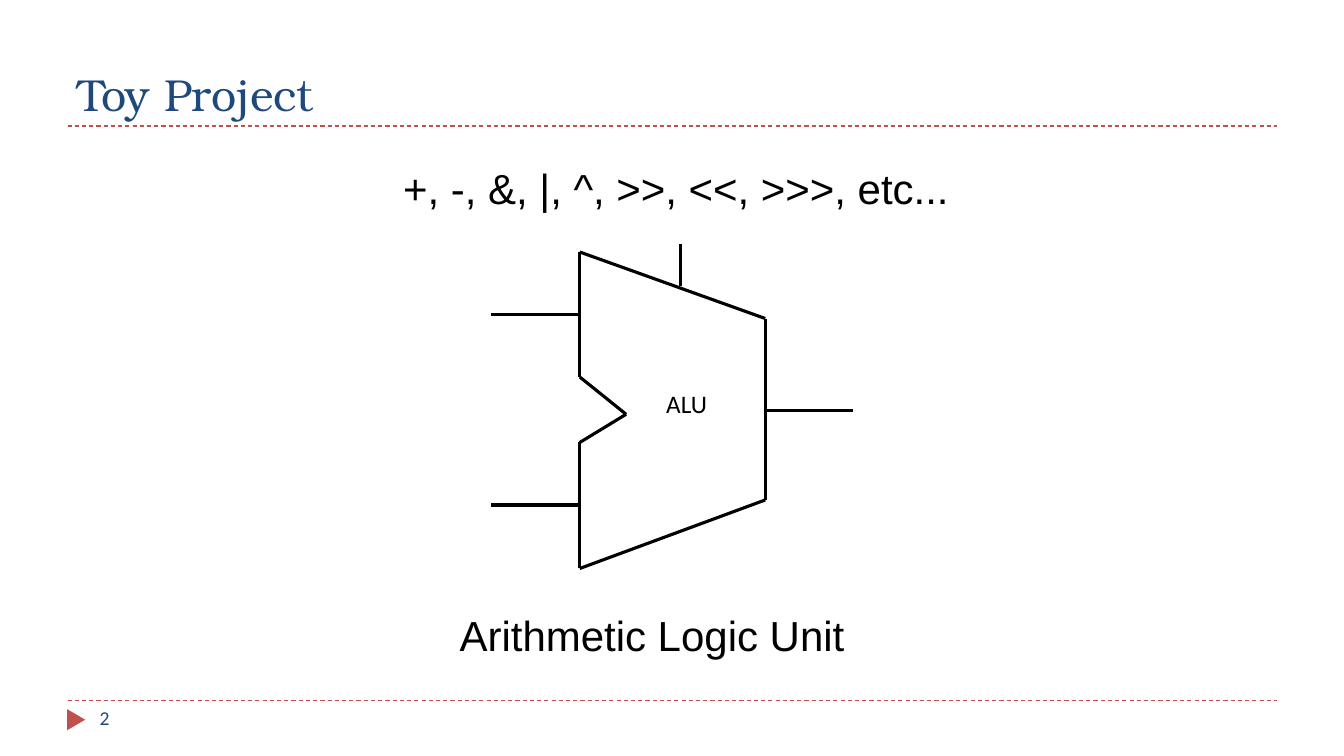
"""Build the Toy Project slide: an arithmetic logic unit with its operations."""
from dataclasses import dataclass
from itertools import pairwise

from pptx import Presentation
from pptx.dml.color import RGBColor
from pptx.enum.dml import MSO_LINE
from pptx.enum.shapes import MSO_CONNECTOR, MSO_SHAPE
from pptx.enum.text import MSO_ANCHOR, PP_ALIGN
from pptx.oxml.ns import qn
from pptx.util import Emu, Pt

EMU_PER_PX = 9144
SLIDE_SIZE = (1333, 750)


@dataclass(frozen=True)
class Theme:
    ink: str = "000000"
    navy: str = "1F497D"
    red: str = "C0504D"
    title_font: str = "TeX Gyre Bonum"
    label_font: str = "Calibri"
    caption_font: str = "Arial"
    title_size: int = 32
    caption_size: int = 30
    label_size: int = 18
    number_size: int = 14
    rule_width: float = 0.75
    wire_width: float = 2.25


THEME = Theme()
CAPTION_STYLE = (THEME.caption_font, THEME.caption_size, THEME.ink)
LABEL_STYLE = (THEME.label_font, THEME.label_size, THEME.ink)
NUMBER_STYLE = (THEME.label_font, THEME.number_size, THEME.navy)
TITLE_STYLE = (THEME.title_font, THEME.title_size, THEME.navy)

TITLE = ("Toy Project", (67, 17, 1200, 108))
CAPTIONS = [
    ("2", (89, 695, 289, 40), NUMBER_STYLE),
    ("Arithmetic Logic Unit", (446, 600, 409, 61), CAPTION_STYLE),
    ("+, -, &, |, ^, >>, <<, >>>, etc...", (390, 156, 571, 61), CAPTION_STYLE),
]
ALU_LABEL = ("ALU", (651, 380, 87, 45), LABEL_STYLE)

RULE_LEFT, RULE_RIGHT = 67, 1267
RULE_TOPS = (695, 125)
MARKER_BOX = (65, 705, 21, 18)

ALU_OUTLINE = [(575, 250), (575, 374), (621, 411), (575, 439),
               (575, 564), (759, 496), (759, 316), (575, 250)]
WIRES = [
    ((487, 312), (575, 312)),
    ((487, 501), (575, 501)),
    ((759, 407), (846, 407)),
    ((675, 242), (675, 284)),
]


def px(*lengths):
    return [Emu(length * EMU_PER_PX) for length in lengths]


def add_line(shapes, start, end, color, width, dash=None):
    line = shapes.add_connector(MSO_CONNECTOR.STRAIGHT, *px(*start, *end))
    line.line.color.rgb = RGBColor.from_string(color)
    line.line.width = Pt(width)
    if dash:
        line.line.dash_style = dash
    properties = line._element.spPr
    properties.append(properties.makeelement(qn("a:effectLst"), {}))


def write(shape, text, style, anchor=MSO_ANCHOR.TOP):
    font_name, size, color = style
    frame = shape.text_frame
    frame.text = text
    frame.word_wrap = True
    frame.vertical_anchor = anchor
    paragraph = frame.paragraphs[0]
    paragraph.alignment = PP_ALIGN.LEFT
    font = paragraph.runs[0].font
    font.name = font_name
    font.size = Pt(size)
    font.color.rgb = RGBColor.from_string(color)


def add_text(shapes, text, box, style):
    write(shapes.add_textbox(*px(*box)), text, style)


def add_frame(slide):
    for top in RULE_TOPS:
        add_line(slide.shapes, (RULE_LEFT, top), (RULE_RIGHT, top),
                 THEME.red, THEME.rule_width, MSO_LINE.DASH)
    marker = slide.shapes.add_shape(MSO_SHAPE.ISOSCELES_TRIANGLE, *px(*MARKER_BOX))
    marker.rotation = 90
    marker.shadow.inherit = False
    marker.fill.solid()
    marker.fill.fore_color.rgb = RGBColor.from_string(THEME.red)
    marker.line.fill.background()


def add_title(slide):
    text, box = TITLE
    title = slide.shapes.title
    title.left, title.top, title.width, title.height = px(*box)
    write(title, text, TITLE_STYLE, MSO_ANCHOR.BOTTOM)


def add_alu(slide):
    alu = slide.shapes.add_group_shape()
    for start, end in [*pairwise(ALU_OUTLINE), *WIRES]:
        add_line(alu.shapes, start, end, THEME.ink, THEME.wire_width)
    add_text(alu.shapes, *ALU_LABEL)


def main():
    presentation = Presentation()
    presentation.slide_width, presentation.slide_height = px(*SLIDE_SIZE)
    slide = presentation.slides.add_slide(presentation.slide_layouts[5])
    add_frame(slide)
    add_title(slide)
    add_alu(slide)
    for text, box, style in CAPTIONS:
        add_text(slide.shapes, text, box, style)
    presentation.save("out.pptx")


if __name__ == "__main__":
    main()
